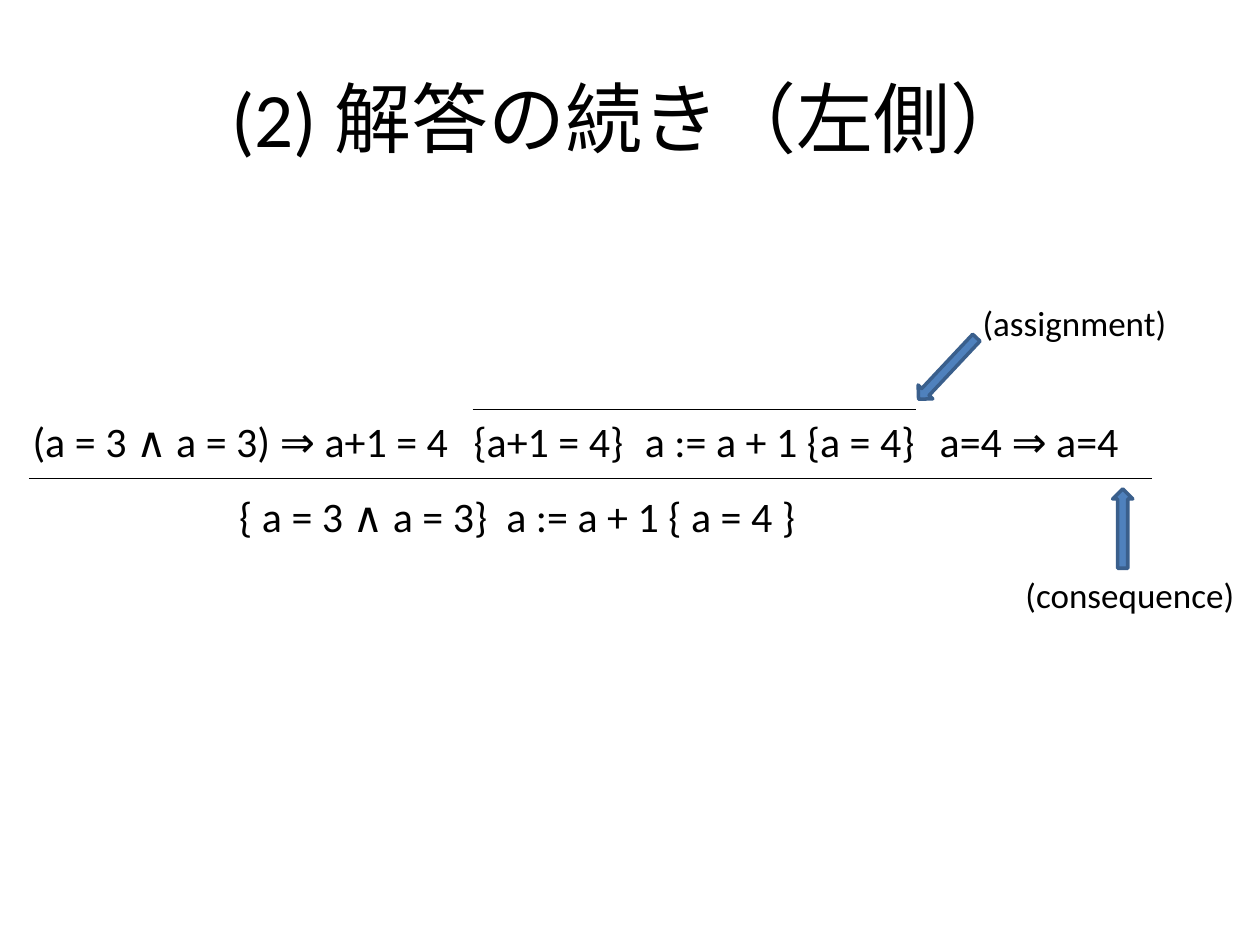
import pptx
import pptx.util
import pptx.dml.color
import pptx.enum.shapes
import pptx.enum.text
import pptx.oxml.ns
import lxml.etree

Inches = pptx.util.Inches
Pt = pptx.util.Pt
Shape = pptx.enum.shapes.MSO_SHAPE
Align = pptx.enum.text.PP_ALIGN
Anchor = pptx.enum.text.MSO_ANCHOR

COLORS = {"ink": "000000", "fill": "4F81BD", "edge": "3A5F8C"}
TITLE = "(2) 解答の続き（左側）"
PROOF = [
    ((0.16, 3.25, 8.98, 0.5),
     ["(a = 3 ∧ a = 3) ⇒ a+1 = 4", "{a+1 = 4}", "a := a + 1 {a = 4}", "a=4 ⇒ a=4"],
     [3.5, 4.86, 7.2]),
    ((1.8, 3.84, 4.92, 0.5),
     ["{ a = 3 ∧ a = 3}", "a := a + 1 { a = 4 }"],
     [2.12]),
]
RULES = [
    ("(assignment)", (7.7, 2.34, 1.68, 0.44)),
    ("(consequence)", (8.04, 4.5, 1.88, 0.44)),
]
BARS = [(0.23, 9.14, 3.8), (3.75, 7.27, 3.25)]
ARROWS = [((8.83, 3.88, 0.16, 0.63), 180), ((7.44, 2.59, 0.16, 0.67), 43.2)]


def color(name):
    return pptx.dml.color.RGBColor.from_string(COLORS[name])


def add_text(slide, text, box, size=24, align=Align.LEFT,
             anchor=Anchor.TOP, wrap=True, tabs=()):
    frame = slide.shapes.add_textbox(*map(Inches, box)).text_frame
    frame.word_wrap = wrap
    frame.vertical_anchor = anchor
    para = frame.paragraphs[0]
    para.text = text
    para.alignment = align
    if tabs:
        name = pptx.oxml.ns.qn
        stops = lxml.etree.SubElement(para._p.get_or_add_pPr(), name("a:tabLst"))
        for stop in tabs:
            lxml.etree.SubElement(stops, name("a:tab"), pos=str(Inches(stop)), algn="l")
    font = para.runs[0].font
    font.name = "Calibri"
    font.size = Pt(size)
    font.color.rgb = color("ink")


def add_bar(slide, left, right, top):
    bar = slide.shapes.add_connector(
        pptx.enum.shapes.MSO_CONNECTOR.STRAIGHT,
        *map(Inches, (left, top, right, top)))
    bar.line.color.rgb = color("ink")
    bar.line.width = Pt(0.75)
    lxml.etree.SubElement(bar._element.spPr, pptx.oxml.ns.qn("a:effectLst"))


def add_arrow(slide, box, turn):
    arrow = slide.shapes.add_shape(Shape.DOWN_ARROW, *map(Inches, box))
    arrow.rotation = turn
    arrow.shadow.inherit = False
    arrow.fill.solid()
    arrow.fill.fore_color.rgb = color("fill")
    arrow.line.color.rgb = color("edge")
    arrow.line.width = Pt(2)


def main():
    deck = pptx.Presentation()
    deck.slide_width, deck.slide_height = Inches(10), Inches(7.5)
    slide = deck.slides.add_slide(deck.slide_layouts[6])
    add_text(slide, TITLE, (0.5, 0.3, 9, 1.25), size=44,
             align=Align.CENTER, anchor=Anchor.MIDDLE)
    for bar in BARS:
        add_bar(slide, *bar)
    for box, parts, tabs in PROOF:
        add_text(slide, "\t".join(parts), box, tabs=tabs)
    for text, box in RULES:
        add_text(slide, text, box, size=20, wrap=False)
    for box, turn in ARROWS:
        add_arrow(slide, box, turn)
    deck.save("out.pptx")


if __name__ == "__main__":
    main()
